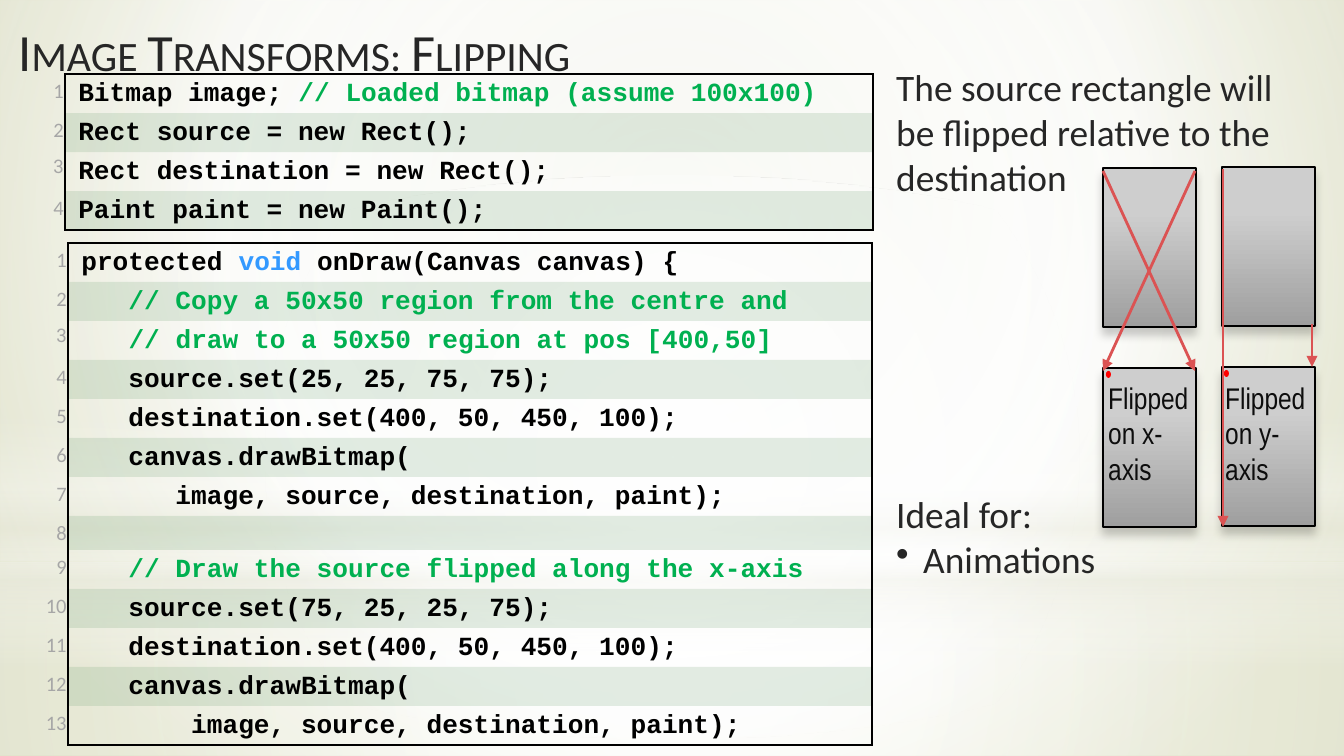
from lxml.etree import SubElement
from pptx import Presentation
from pptx.dml.color import RGBColor
from pptx.enum.shapes import MSO_CONNECTOR, MSO_SHAPE
from pptx.enum.text import MSO_ANCHOR, MSO_AUTO_SIZE, PP_ALIGN
from pptx.oxml.ns import qn
from pptx.util import Inches, Pt

SCALE = Inches(10) / 1344
COLORS = {
    "ink": "262626", "caption": "0D0D0D", "black": "000000", "number": "A6A6A6",
    "comment": "00B050", "keyword": "3399FF", "band": "72A376", "arrow": "DB5353",
    "dot": "FF0000", "white": "FFFFFF", "cream": "EAEBDE", "sage": "E3E5D1",
    "olive": "CCD09F", "light": "CECECE", "dark": "9F9F9F",
}
NO_STYLE = "{2D5ABB26-0587-4C30-8999-92F81FD0307C}"
CENTER = (50, 50, 50, 50)

SETUP_CODE = [
    ["Bitmap image; ", "// Loaded bitmap (assume 100x100)"],
    ["Rect source = new Rect();"],
    ["Rect destination = new Rect();"],
    ["Paint paint = new Paint();"],
]
DRAW_CODE = [
    ["protected ", "void ", "onDraw(Canvas canvas) {"],
    ["   // Copy a 50x50 region from the centre and"],
    ["   ", "// draw to a 50x50 region at pos [400,50]"],
    ["   source.set(25, 25, 75, 75);"],
    ["   destination.set(400, 50, 450, 100);"],
    ["   canvas.drawBitmap("],
    ["      image, source, destination, paint);"],
    [],
    ["   // Draw the source flipped along the x-axis"],
    ["   source.set(75, 25, 25, 75);"],
    ["   destination.set(400, 50, 450, 100);"],
    ["   canvas.drawBitmap("],
    ["       image, source, destination, paint);"],
]


def px(*values):
    return [round(value * SCALE) for value in values]


def rgb(name):
    return RGBColor.from_string(COLORS[name])


def code_color(part):
    if part.strip().startswith("//"):
        return "comment"
    return "keyword" if part.strip() == "void" else "black"


class FlippingSlide:
    def __init__(self, prs):
        self.slide = prs.slides.add_slide(prs.slide_layouts[6])
        self.shapes = self.slide.shapes

    def backdrop(self, stops, center):
        self.gradient(self.slide.background.fill, self.slide.element, stops, center)

    def gradient(self, fill, owner, stops, center=None):
        fill.gradient()
        grad = next(owner.iter(qn("a:gradFill")))
        grad.clear()
        grad.set("rotWithShape", "1")
        stop_list = SubElement(grad, qn("a:gsLst"))
        for position, color, alpha in stops:
            stop = SubElement(stop_list, qn("a:gs"), pos=str(position * 1000))
            tint = SubElement(stop, qn("a:srgbClr"), val=COLORS[color])
            if alpha < 100:
                SubElement(tint, qn("a:alpha"), val=str(alpha * 1000))
        if center:
            sweep = SubElement(grad, qn("a:path"), path="circle")
            sides = {side: str(value * 1000) for side, value in zip("ltrb", center)}
            SubElement(sweep, qn("a:fillToRect"), **sides)
        else:
            SubElement(grad, qn("a:lin"), ang="5400000", scaled="0")

    def layer(self, box, stops, center=None, kind=MSO_SHAPE.RECTANGLE):
        shape = self.shapes.add_shape(kind, *px(*box))
        shape.shadow.inherit = False
        shape.line.fill.background()
        self.gradient(shape.fill, shape.element, stops, center)
        return shape

    def card(self, x, y):
        card = self.layer((x, y, 93, 159), [(28, "light", 100), (100, "dark", 100)])
        card.line.color.rgb = rgb("black")
        card.line.width = Pt(0.75)
        effects = next(card.element.iter(qn("a:effectLst")))
        shadow = SubElement(effects, qn("a:outerShdw"), blurRad=str(Pt(5)),
                            dist=str(Pt(4)), dir="5400000", rotWithShape="0")
        tint = SubElement(shadow, qn("a:srgbClr"), val=COLORS["black"])
        SubElement(tint, qn("a:alpha"), val="20000")

    def dot(self, x, y):
        dot = self.shapes.add_shape(MSO_SHAPE.OVAL, *px(x, y, 5, 7))
        dot.shadow.inherit = False
        dot.fill.solid()
        dot.fill.fore_color.rgb = rgb("dot")
        dot.line.fill.background()

    def arrow(self, *ends):
        arrow = self.shapes.add_connector(MSO_CONNECTOR.STRAIGHT, *px(*ends))
        arrow.line.color.rgb = rgb("arrow")
        arrow.line.width = Pt(1.5)
        SubElement(arrow.line._get_or_add_ln(), qn("a:tailEnd"), type="triangle")
        SubElement(arrow.element.spPr, qn("a:effectLst"))

    def style(self, run, size, color, font="Calibri", bold=False):
        run.font.size = Pt(size)
        run.font.name = font
        run.font.bold = bold
        run.font.color.rgb = rgb(color)

    def text(self, box, words, size, color="ink", font="Calibri", middle=False, grow=True):
        frame = self.shapes.add_textbox(*px(*box)).text_frame
        frame.word_wrap = True
        frame.auto_size = MSO_AUTO_SIZE.SHAPE_TO_FIT_TEXT if grow else MSO_AUTO_SIZE.NONE
        frame.vertical_anchor = MSO_ANCHOR.MIDDLE if middle else MSO_ANCHOR.TOP
        frame.text = words
        for paragraph in frame.paragraphs:
            self.style(paragraph.runs[0], size, color, font)
        return frame

    def bullet(self, paragraph, indent):
        props = paragraph._p.get_or_add_pPr()
        width, = px(indent)
        props.set("marL", str(width))
        props.set("indent", str(-width))
        SubElement(props, qn("a:buChar"), char="•")

    def code_table(self, x, y, widths, lines):
        heights = [39 if line else 34 for line in lines]
        frame = self.shapes.add_table(len(lines), 2, *px(x, y, sum(widths), sum(heights)))
        table = frame.table
        table.first_row = table.horz_banding = False
        next(frame.element.iter(qn("a:tableStyleId"))).text = NO_STYLE
        for column, width in zip(table.columns, px(*widths)):
            column.width = width
        for index, (line, height) in enumerate(zip(lines, px(*heights))):
            table.rows[index].height = height
            number, code = table.cell(index, 0), table.cell(index, 1)
            for cell in (number, code):
                cell.margin_left = cell.margin_right = Inches(0.01)
                cell.margin_top = cell.margin_bottom = Inches(0.01)
                cell.text_frame.paragraphs[0].line_spacing = 1.15
            self.number(number, index + 1)
            self.code(code, line)
            sides = "LR" + "T" * (index == 0) + "B" * (index == len(lines) - 1)
            self.borders(code, sides)
            number.fill.background()
            if index % 2:
                self.band(code)
            else:
                code.fill.background()

    def number(self, cell, value):
        paragraph = cell.text_frame.paragraphs[0]
        paragraph.text = str(value)
        paragraph.alignment = PP_ALIGN.RIGHT
        size, font = (10, "Roboto") if value == 3 else (11, "Calibri")
        self.style(paragraph.runs[0], size, "number", font)

    def code(self, cell, parts):
        paragraph = cell.text_frame.paragraphs[0]
        paragraph._p.get_or_add_pPr().set("marL", str(px(12)[0]))
        for part in parts:
            run = paragraph.add_run()
            run.text = part
            self.style(run, 14, code_color(part), "Courier New", True)
        if not parts:
            SubElement(paragraph._p, qn("a:endParaRPr"), sz="1200")

    def borders(self, cell, sides):
        props = cell._tc.get_or_add_tcPr()
        for side in sides:
            border = SubElement(props, qn("a:ln" + side), w=str(Pt(1)))
            solid = SubElement(border, qn("a:solidFill"))
            SubElement(solid, qn("a:srgbClr"), val=COLORS["black"])

    def band(self, cell):
        cell.fill.solid()
        cell.fill.fore_color.rgb = rgb("band")
        tint = next(cell._tc.tcPr.find(qn("a:solidFill")).iter(qn("a:srgbClr")))
        SubElement(tint, qn("a:alpha"), val="20000")


def main():
    prs = Presentation()
    prs.slide_width, prs.slide_height = px(1344, 756)
    page = FlippingSlide(prs)
    page.backdrop([(0, "sage", 100), (60, "white", 100), (100, "olive", 100)], (20, 10, 20, 60))
    page.layer((0, 563, 1344, 193),
               [(0, "white", 91), (37, "white", 76), (100, "cream", 79)], CENTER)
    page.layer((0, 0, 1344, 563),
               [(0, "white", 89), (48, "white", 62), (100, "cream", 79)], CENTER)
    page.layer((0, 415, 1344, 252),
               [(0, "white", 0), (29, "white", 30), (45, "cream", 40),
                (55, "white", 26), (65, "cream", 60), (100, "white", 0)])
    page.layer((0, 176, 1344, 563), [(0, "white", 100), (56, "white", 0)], CENTER, MSO_SHAPE.OVAL)

    title = page.text((5, 8, 910, 85), "Image Transforms: Flipping", 28, middle=True, grow=False)
    title.paragraphs[0].runs[0]._r.get_or_add_rPr().set("cap", "small")

    for x, top in ((1103, 168), (1222, 167)):
        for y in (top, top + 200):
            page.card(x, y)
    for axis, dot, caption in (("x", (1106, 371), (1095, 372, 112, 122)),
                               ("y", (1224, 370), (1212, 372, 108, 122))):
        page.dot(*dot)
        page.text(caption, f"Flipped on {axis}-axis", 16, "caption", "Arial Narrow", True)
    for ends in ((1195, 171, 1103, 371), (1103, 171, 1195, 371),
                 (1223, 169, 1223, 527), (1312, 324, 1312, 367)):
        page.arrow(*ends)

    page.code_table(-5, 74, (70, 808), SETUP_CODE)
    page.code_table(-5, 243, (73, 804), DRAW_CODE)

    page.text((883, 58, 434, 149),
              "The source rectangle will be flipped relative to the destination", 20)
    uses = page.text((883, 485, 413, 103), "Ideal for:\nAnimations", 20)
    page.bullet(uses.paragraphs[1], 27)
    prs.save("out.pptx")


if __name__ == "__main__":
    main()
